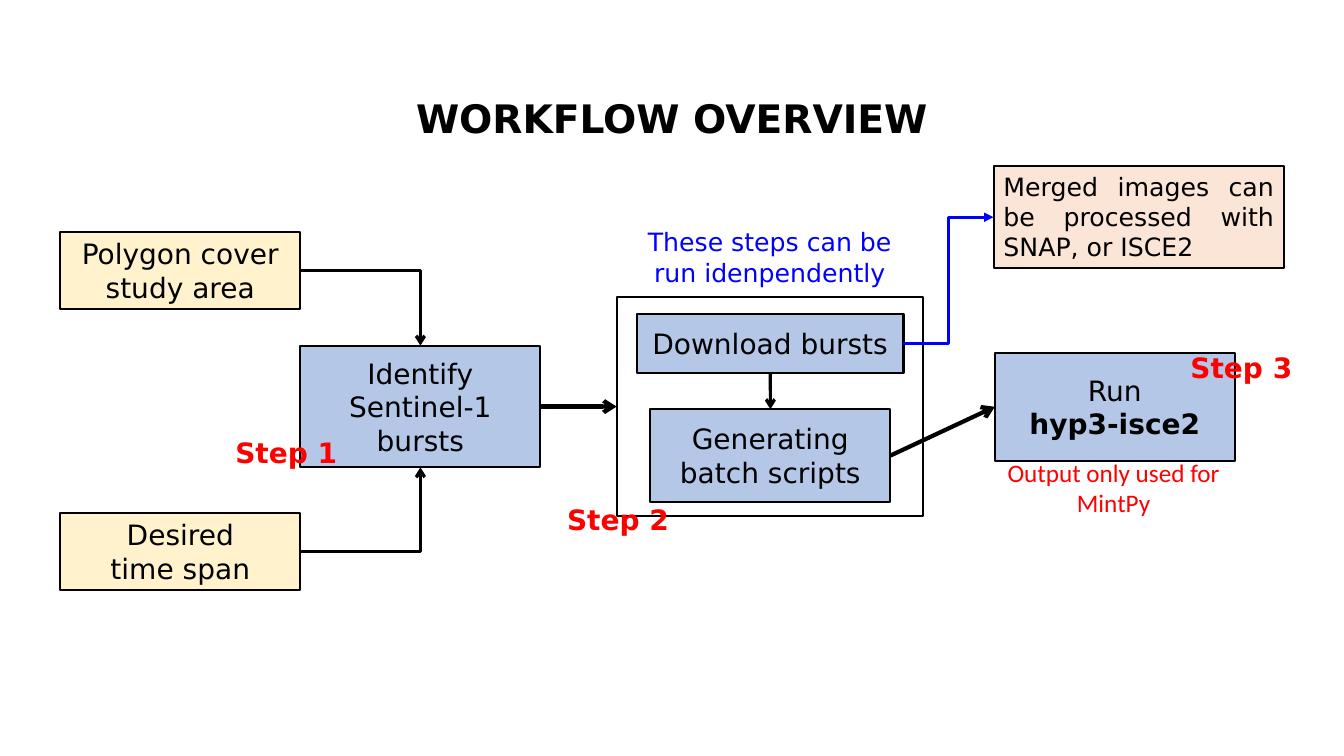
from dataclasses import dataclass

from pptx import Presentation
from pptx.dml.color import RGBColor
from pptx.enum.shapes import MSO_CONNECTOR, MSO_SHAPE
from pptx.enum.text import MSO_ANCHOR, PP_ALIGN
from pptx.oxml.ns import qn
from pptx.util import Cm, Pt
from lxml import etree

RECTANGLE = MSO_SHAPE.RECTANGLE
STRAIGHT = MSO_CONNECTOR.STRAIGHT
ELBOW = MSO_CONNECTOR.ELBOW
CENTER = PP_ALIGN.CENTER
JUSTIFY = PP_ALIGN.JUSTIFY
TOP = MSO_ANCHOR.TOP
MIDDLE = MSO_ANCHOR.MIDDLE
TOP_SIDE, LEFT_SIDE, BOTTOM_SIDE, RIGHT_SIDE = range(4)


@dataclass(frozen=True)
class Theme:
    black: str = "000000"
    white: str = "FFFFFF"
    blue: str = "0000FF"
    red: str = "FF0000"
    input_fill: str = "FFF2CC"
    process_fill: str = "B4C7E7"
    result_fill: str = "FBE5D6"
    font: str = "DejaVu Sans"
    note_font: str = "Calibri"
    title_size: int = 28
    body_size: int = 20
    note_size: int = 18
    outline: float = 1.5
    thin_arrow: float = 2.25
    thick_arrow: float = 3


class Diagram:
    def __init__(self, slide, theme):
        self.slide = slide
        self.theme = theme

    def set_text(self, shape, text, color, size, font=None, bold=False,
                 bold_last=False, align=CENTER, anchor=TOP):
        frame = shape.text_frame
        for name, value in {"word_wrap": True, "vertical_anchor": anchor}.items():
            setattr(frame, name, value)
        paragraph = frame.paragraphs[0]
        paragraph.text = text
        paragraph.alignment = align
        font_format = {"name": font or self.theme.font, "size": Pt(size), "bold": bold}
        for run in paragraph.runs:
            for name, value in font_format.items():
                setattr(run.font, name, value)
            run.font.color.rgb = RGBColor.from_string(color)
        if bold_last:
            paragraph.runs[-1].font.bold = True

    def label(self, place, text, color, size, **text_format):
        shape = self.slide.shapes.add_textbox(*map(Cm, place))
        self.set_text(shape, text, color, size, **text_format)

    def box(self, place, fill, text="", parent=None, size=None, anchor=MIDDLE,
            **text_format):
        shapes = (parent or self.slide).shapes
        shape = shapes.add_shape(RECTANGLE, *map(Cm, place))
        shape.shadow.inherit = False
        shape.fill.solid()
        shape.fill.fore_color.rgb = RGBColor.from_string(fill)
        shape.line.color.rgb = RGBColor.from_string(self.theme.black)
        shape.line.width = Pt(self.theme.outline)
        if text:
            self.set_text(shape, text, self.theme.black, size or self.theme.body_size,
                          anchor=anchor, **text_format)
        return shape

    def arrow(self, start, start_side, end, end_side, width, kind=STRAIGHT,
              color=None, head="arrow", corner=False):
        connector = self.slide.shapes.add_connector(kind, 0, 0, 0, 0)
        connector.begin_connect(start, start_side)
        connector.end_connect(end, end_side)
        connector.line.color.rgb = RGBColor.from_string(color or self.theme.black)
        connector.line.width = Pt(width)
        properties = connector._element.spPr
        if corner:
            properties.find(qn("a:prstGeom")).set("prst", "bentConnector2")
        line = properties.find(qn("a:ln"))
        etree.SubElement(line, qn("a:tailEnd"), type=head)
        etree.SubElement(properties, qn("a:effectLst"))


def main():
    presentation = Presentation()
    presentation.slide_width = Cm(33.87)
    presentation.slide_height = Cm(19.05)
    slide = presentation.slides.add_slide(presentation.slide_layouts[6])
    theme = Theme()
    diagram = Diagram(slide, theme)

    diagram.label((5.79, 2.24, 22.28, 1.45), "WORKFLOW OVERVIEW", theme.black,
                  theme.title_size, bold=True)

    identify = diagram.box((7.57, 8.71, 6.05, 3.07), theme.process_fill,
                           "Identify Sentinel-1 bursts")
    polygon = diagram.box((1.52, 5.84, 6.05, 1.94), theme.input_fill,
                          "Polygon cover study area")
    time_span = diagram.box((1.52, 12.93, 6.05, 1.94), theme.input_fill,
                            "Desired\vtime span")

    group = slide.shapes.add_group_shape()
    batch = diagram.box((15.54, 7.49, 7.72, 5.51), theme.white, parent=group)
    download = diagram.box((16.05, 7.92, 6.72, 1.47), theme.process_fill,
                           "Download bursts", parent=group)
    generate = diagram.box((16.39, 10.31, 6.05, 2.34), theme.process_fill,
                           "Generating batch scripts", parent=group)

    run_box = diagram.box((25.07, 8.89, 6.05, 2.72), theme.process_fill,
                          "Run\vhyp3-isce2", bold_last=True)
    merged = diagram.box((25.04, 4.19, 7.32, 2.57), theme.result_fill,
                         "Merged images can be processed with SNAP, or ISCE2",
                         size=theme.note_size, align=JUSTIFY, anchor=TOP)

    for source, side in ((polygon, TOP_SIDE), (time_span, BOTTOM_SIDE)):
        diagram.arrow(source, RIGHT_SIDE, identify, side, theme.thin_arrow,
                      kind=ELBOW, corner=True)
    for source, target in ((identify, batch), (generate, run_box)):
        diagram.arrow(source, RIGHT_SIDE, target, LEFT_SIDE, theme.thick_arrow)
    diagram.arrow(download, BOTTOM_SIDE, generate, TOP_SIDE, theme.thin_arrow)
    diagram.arrow(download, RIGHT_SIDE, merged, LEFT_SIDE, theme.thin_arrow,
                  kind=ELBOW, color=theme.blue, head="triangle")

    diagram.label((15.88, 5.59, 7.04, 1.8), "These steps can be run idenpendently",
                  theme.blue, theme.note_size)
    diagram.label((25.04, 11.4, 6.05, 1.8), "Output only used for MintPy",
                  theme.red, theme.note_size, font=theme.note_font)

    step_places = ((5.26, 10.85, 3.91), (13.77, 12.55, 3.61), (29.62, 8.71, 3.33))
    for number, place in enumerate(step_places, start=1):
        diagram.label((*place, 1.12), f"Step {number}", theme.red,
                      theme.body_size, bold=True)

    presentation.save("out.pptx")


if __name__ == "__main__":
    main()
